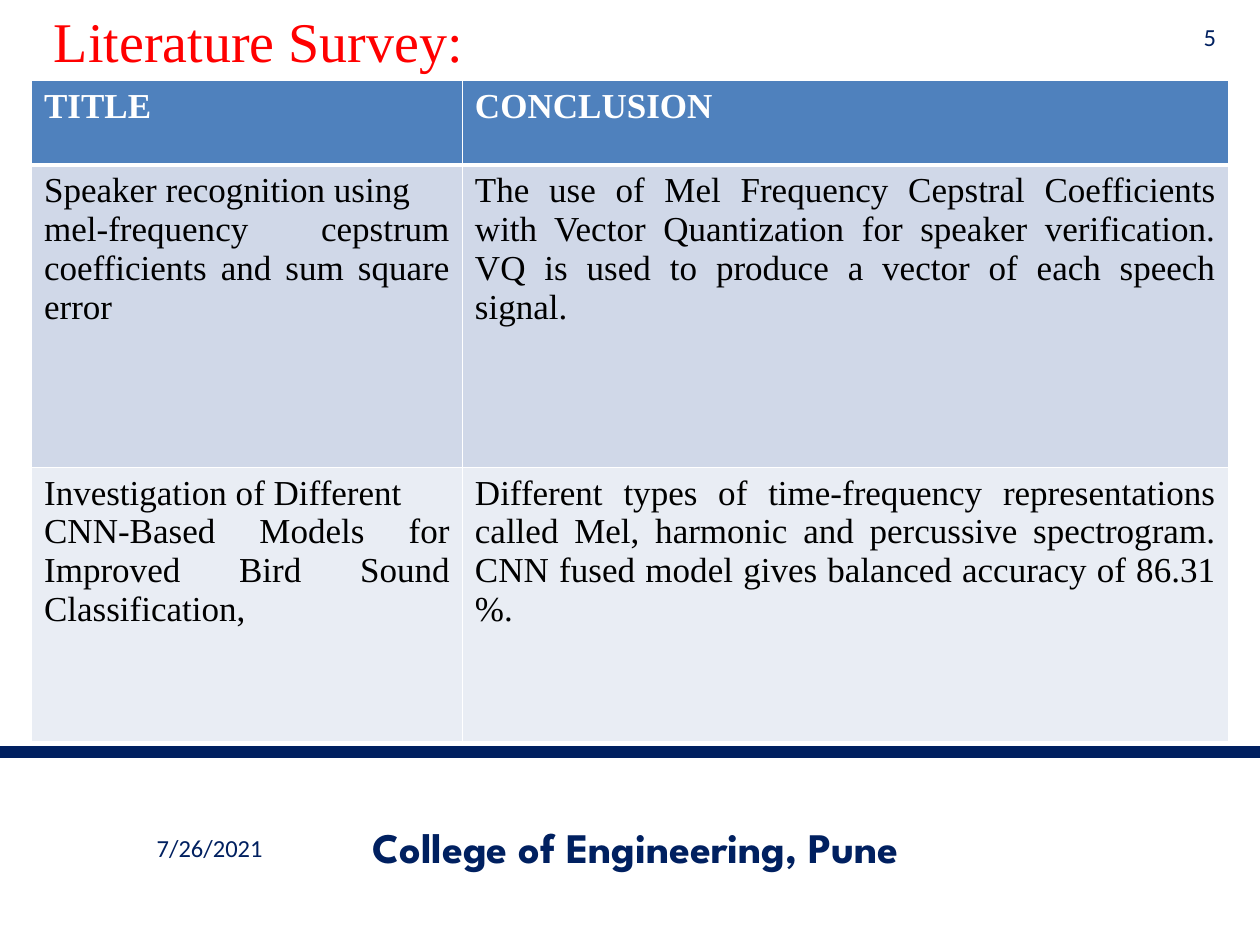
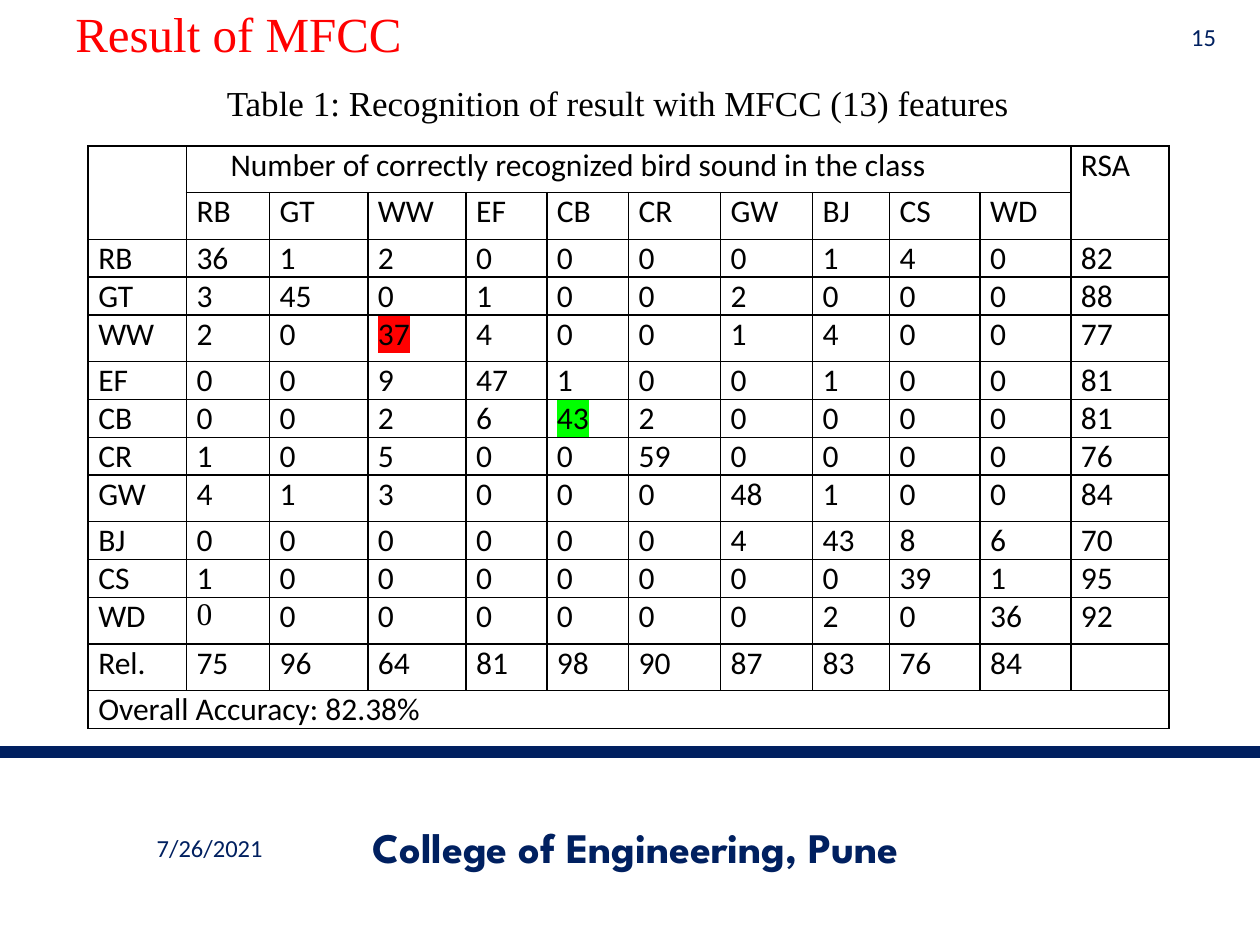
import pptx
import pptx.dml.color
import pptx.enum.shapes
import pptx.enum.text
import pptx.oxml
import pptx.oxml.ns
import pptx.util
from pptx.util import Inches

COLORS = {
    "navy": "002060", "red": "FF0000", "green": "00FF00", "black": "000000",
    "white": "FFFFFF", "header": "4F81BD", "band dark": "D0D8E8", "band light": "E9EDF4",
}
SERIF = "Times New Roman"
SANS = "Calibri"
ALIGN = pptx.enum.text.PP_ALIGN
ANCHOR = pptx.enum.text.MSO_ANCHOR
DRAWING = pptx.oxml.ns.nsdecls("a")


def write(frame, lines, size, font, color, align=ALIGN.LEFT, bold=False):
    """Write one paragraph per line and return the last run."""
    frame.word_wrap = True
    for index, line in enumerate(lines):
        paragraph = frame.paragraphs[0] if index == 0 else frame.add_paragraph()
        paragraph.alignment = align
        run = paragraph.add_run()
        run.text = line
        run.font.size = pptx.util.Pt(size)
        run.font.bold = bold
        run.font.color.rgb = pptx.dml.color.RGBColor.from_string(COLORS[color])
        run.font.name = font
    return run


def style_cell(cell, border, fill=None, bottom_width=1):
    """Draw the four borders of a cell, then its fill."""
    properties = cell._tc.get_or_add_tcPr()
    for side in "LRTB":
        width = pptx.util.Pt(bottom_width if side == "B" else 1)
        properties.append(pptx.oxml.parse_xml(
            f'<a:ln{side} {DRAWING} w="{width}"><a:solidFill>'
            f'<a:srgbClr val="{COLORS[border]}"/></a:solidFill></a:ln{side}>'))
    if fill:
        cell.fill.solid()
        cell.fill.fore_color.rgb = pptx.dml.color.RGBColor.from_string(COLORS[fill])
    else:
        cell.fill.background()


presentation = pptx.Presentation()
presentation.slide_width = Inches(10)
presentation.slide_height = Inches(7.5)

# Shared parts: rule, date, college, page number, and the title of each slide
slides = []
for number, title, title_size, title_box, title_anchor in [
    ("5", "Literature Survey:", 32, (0.33, 0, 5.42, 0.64), ANCHOR.TOP),
    ("15", "Result of MFCC", 28, (0.5, -0.08, 9, 0.68), ANCHOR.MIDDLE),
]:
    slide = presentation.slides.add_slide(presentation.slide_layouts[6])
    slides.append(slide)
    rule = slide.shapes.add_connector(
        pptx.enum.shapes.MSO_CONNECTOR.STRAIGHT, 0, Inches(5.97), Inches(10), Inches(5.97))
    rule.line.width = pptx.util.Pt(6.5)
    rule.line.color.rgb = pptx.dml.color.RGBColor.from_string(COLORS["navy"])
    rule._element.spPr.append(pptx.oxml.parse_xml(f"<a:effectLst {DRAWING}/>"))

    for box, text, size, font, color, align, bold, anchor in [
        (title_box, title, title_size, SERIF, "red", ALIGN.LEFT, False, title_anchor),
        ((0.5, 6.53, 2.33, 0.4), "7/26/2021", 14, SANS, "navy", ALIGN.CENTER, False, ANCHOR.MIDDLE),
        ((2.42, 6.52, 5.25, 0.4), "College of Engineering, Pune", 24, "League Spartan", "navy",
         ALIGN.CENTER, True, ANCHOR.MIDDLE),
        ((9.25, 0.15, 0.5, 0.28), number, 14, SANS, "navy", ALIGN.RIGHT, False, ANCHOR.MIDDLE),
    ]:
        shape = slide.shapes.add_textbox(*map(Inches, box))
        shape.text_frame.vertical_anchor = anchor
        write(shape.text_frame, [text], size, font, color, align, bold)

survey_slide, result_slide = slides

# Literature survey table
survey_rows = [
    (0.67, "header", ["TITLE"], ["CONCLUSION"]),
    (2.4, "band dark",
     ["Speaker recognition using",
      "mel-frequency cepstrum coefficients and sum square error"],
     ["The use of Mel Frequency Cepstral Coefficients with Vector Quantization for speaker "
      "verification. VQ is used to produce a vector of each speech signal."]),
    (2.18, "band light",
     ["Investigation of Different",
      "CNN-Based Models for Improved Bird Sound Classification,"],
     ["Different types of time-frequency representations called Mel, harmonic and percussive "
      "spectrogram. CNN fused model gives balanced accuracy of 86.31 %."]),
]
survey = survey_slide.shapes.add_table(
    3, 2, Inches(0.25), Inches(0.64), Inches(9.5), Inches(5.25)).table
survey.columns[0].width = Inches(3.42)
survey.columns[1].width = Inches(6.08)
for row, (height, fill, *texts) in enumerate(survey_rows):
    survey.rows[row].height = Inches(height)
    is_header = row == 0
    for column, lines in enumerate(texts):
        cell = survey.cell(row, column)
        style_cell(cell, "white", fill, 3 if is_header else 1)
        write(cell.text_frame, lines, 20, SERIF, "white" if is_header else "black",
              ALIGN.JUSTIFY, is_header)

# Recognition result table
birds = ["RB", "GT", "WW", "EF", "CB", "CR", "GW", "BJ", "CS", "WD"]
counts = [
    [36, 1, 2, 0, 0, 0, 0, 1, 4, 0],
    [3, 45, 0, 1, 0, 0, 2, 0, 0, 0],
    [2, 0, 37, 4, 0, 0, 1, 4, 0, 0],
    [0, 0, 9, 47, 1, 0, 0, 1, 0, 0],
    [0, 0, 2, 6, 43, 2, 0, 0, 0, 0],
    [1, 0, 5, 0, 0, 59, 0, 0, 0, 0],
    [4, 1, 3, 0, 0, 0, 48, 1, 0, 0],
    [0, 0, 0, 0, 0, 0, 4, 43, 8, 6],
    [1, 0, 0, 0, 0, 0, 0, 0, 39, 1],
    [0, 0, 0, 0, 0, 0, 0, 2, 0, 36],
]
accuracies = [82, 88, 77, 81, 81, 76, 84, 70, 95, 92]
reliabilities = [75, 96, 64, 81, 98, 90, 87, 83, 76, 84]
result_rows = [
    ["", "Number of correctly recognized bird sound in the class", *[""] * 9, "RSA"],
    ["", *birds, ""],
    *[[bird, *row, accuracy] for bird, row, accuracy in zip(birds, counts, accuracies)],
    ["Rel.", *reliabilities, ""],
    ["Overall Accuracy: 82.38%", *[""] * 11],
]
column_widths = [0.78, 0.66, 0.78, 0.78, 0.64, 0.65, 0.73, 0.73, 0.61, 0.72, 0.72, 0.78]
tall_rows = {0, 1, 4, 8, 11, 12}
highlights = {(4, 3): "red", (6, 5): "green"}
serif_cell = (11, 1)

result = result_slide.shapes.add_table(
    len(result_rows), len(column_widths),
    Inches(0.7), Inches(1.16), Inches(8.58), Inches(4.63)).table
for column, width in enumerate(column_widths):
    result.columns[column].width = Inches(width)
for row, values in enumerate(result_rows):
    result.rows[row].height = Inches(0.37 if row in tall_rows else 0.28)
    for column, value in enumerate(values):
        cell = result.cell(row, column)
        cell.margin_left = cell.margin_right = cell.margin_top = cell.margin_bottom = 0
        style_cell(cell, "black")
        if value == "":
            continue
        font = SERIF if (row, column) == serif_cell else SANS
        run = write(cell.text_frame, [str(value)], 18, font, "black")
        indent = Inches(0.35 if (row, column) == (0, 1) else 0.08)
        cell.text_frame.paragraphs[0]._p.get_or_add_pPr().set("marL", str(indent))
        if (row, column) in highlights:
            color = COLORS[highlights[row, column]]
            run_properties = run._r.get_or_add_rPr()
            run_properties.find(pptx.oxml.ns.qn("a:solidFill")).addnext(pptx.oxml.parse_xml(
                f'<a:highlight {DRAWING}><a:srgbClr val="{color}"/></a:highlight>'))

# Merged cells: corner, heading, RSA, overall accuracy
for first, last in [((0, 0), (1, 0)), ((0, 1), (0, 10)), ((0, 11), (1, 11)), ((13, 0), (13, 11))]:
    result.cell(*first).merge(result.cell(*last))

# Table caption
caption = result_slide.shapes.add_textbox(Inches(0.53), Inches(0.6), Inches(8.75), Inches(0.77))
write(caption.text_frame, ["Table 1: Recognition of result with MFCC (13) features"],
      20, SERIF, "black", ALIGN.CENTER)

presentation.save("out.pptx")
